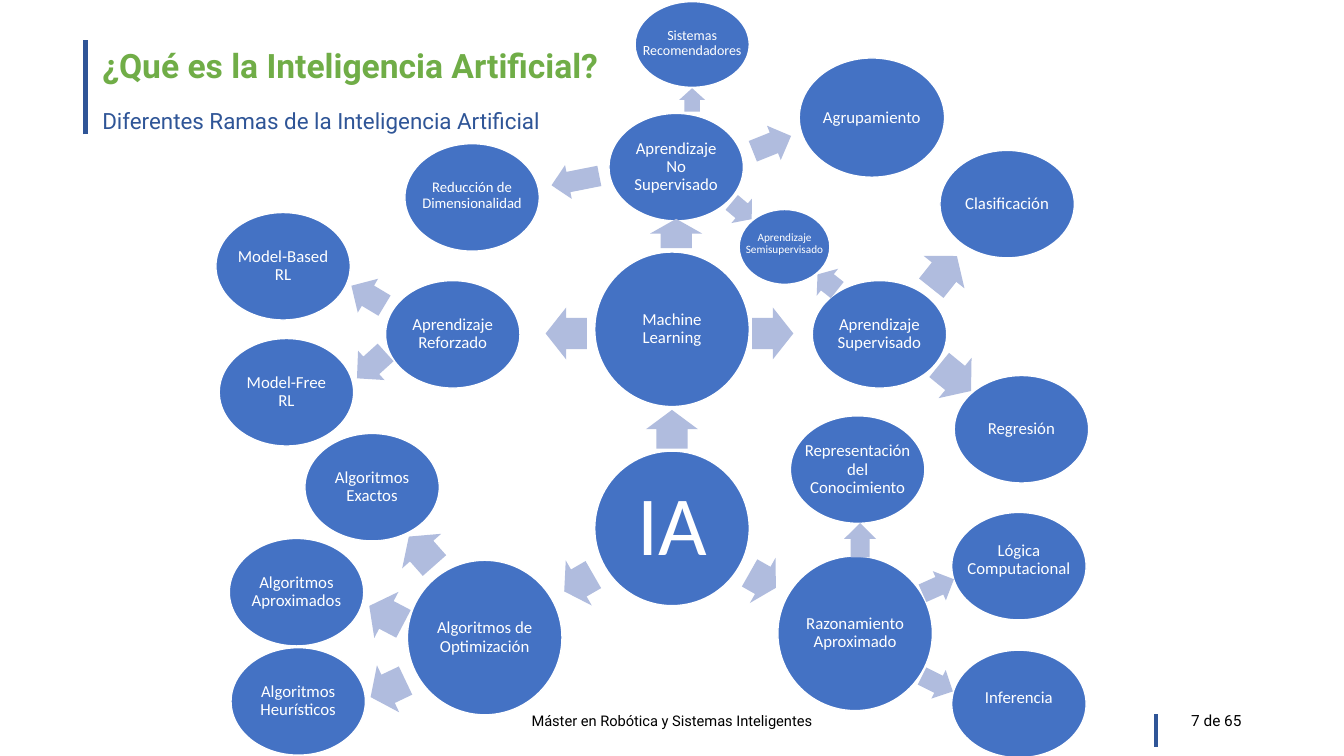
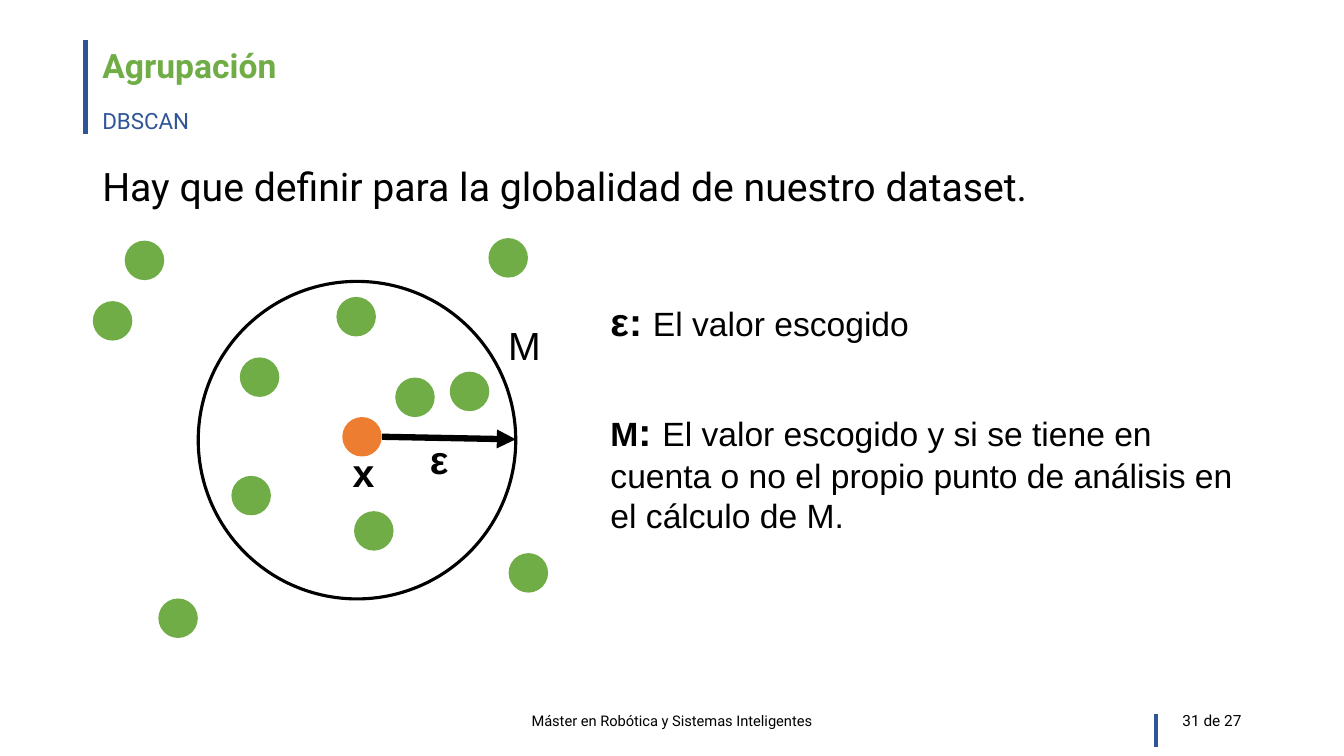
"""Build two slides on the branches of artificial intelligence and on DBSCAN."""
from lxml.etree import SubElement
from pptx import Presentation
from pptx.dml.color import RGBColor
from pptx.enum.shapes import MSO_CONNECTOR, MSO_SHAPE
from pptx.enum.text import MSO_ANCHOR, PP_ALIGN
from pptx.oxml.ns import qn
from pptx.util import Inches, Pt

NAVY = RGBColor(0x2F, 0x55, 0x97)
GREEN = RGBColor(0x70, 0xAD, 0x47)
BLUE = RGBColor(0x44, 0x72, 0xC4)
LAVENDER = RGBColor(0xB0, 0xBC, 0xDE)
ORANGE = RGBColor(0xED, 0x7D, 0x31)
BLACK = RGBColor(0, 0, 0)
WHITE = RGBColor(255, 255, 255)

deck = Presentation()
deck.slide_width, deck.slide_height = Inches(13.333), Inches(7.5)
COL = deck.slide_width / 160
ROW = deck.slide_height / 90

TITLE = dict(name="Roboto", size=Pt(24), bold=True)
SUBTITLE = dict(name="Roboto", size=Pt(16))
FOOTER = dict(name="Roboto", size=Pt(10.5))
PAGE = dict(name="Roboto", size=Pt(11))
STATEMENT = dict(name="Roboto", size=Pt(28))
SYMBOL = dict(name="Arial", size=Pt(28), bold=True)
PLAIN_SYMBOL = dict(name="Arial", size=Pt(28))
TERM = dict(name="Arial", size=Pt(24), bold=True)
MEANING = dict(name="Arial", size=Pt(24), bold=False)


def write(box, runs, color, align=PP_ALIGN.LEFT, anchor=MSO_ANCHOR.TOP, wrap=True, spacing=1.0, inset=None):
    frame = box.text_frame
    frame.word_wrap, frame.vertical_anchor = wrap, anchor
    if inset is not None:
        for side in ("left", "right", "top", "bottom"):
            setattr(frame, f"margin_{side}", inset)
    paragraph = frame.paragraphs[0]
    paragraph.alignment, paragraph.line_spacing = align, spacing
    for text, style in runs:
        run = paragraph.add_run()
        run.text = text
        run.font.color.rgb = color
        for attribute, value in style.items():
            setattr(run.font, attribute, value)


def place(slide, preset, x, y, width, height, fill, outline=None, weight=1.0):
    shape = slide.shapes.add_shape(
        preset, int((x - width / 2) * COL), int((y - height / 2) * ROW), int(width * COL), int(height * ROW))
    shape.shadow.inherit = False
    shape.fill.solid()
    shape.fill.fore_color.rgb = fill
    if outline is None:
        shape.line.fill.background()
    else:
        shape.line.color.rgb = outline
        shape.line.width = Pt(weight)
    return shape


headings = [
    ("¿Qué es la Inteligencia Artificial?", "Diferentes Ramas de la Inteligencia Artificial", "7 de 65"),
    ("Agrupación", "DBSCAN", "31 de 27"),
]
MIDDLE = MSO_ANCHOR.MIDDLE
for title, subtitle, page in headings:
    slide = deck.slides.add_slide(deck.slide_layouts[6])
    texts = [
        (title, TITLE, GREEN, 11, 4.8, 138, 6.6, PP_ALIGN.LEFT, MIDDLE, 0.9),
        (subtitle, SUBTITLE, NAVY, 11, 12.5, 138, 6.4, PP_ALIGN.LEFT, MSO_ANCHOR.TOP, 0.9),
        ("Máster en Robótica y Sistemas Inteligentes", FOOTER, BLACK, 53, 83.4, 54, 4.8, PP_ALIGN.CENTER, MIDDLE, 1.0),
        (page, PAGE, BLACK, 113, 83.4, 36, 4.8, PP_ALIGN.RIGHT, MIDDLE, 1.0),
    ]
    for text, style, color, x, y, width, height, align, anchor, spacing in texts:
        box = slide.shapes.add_textbox(int(x * COL), int(y * ROW), int(width * COL), int(height * ROW))
        write(box, [(text, style)], color, align, anchor, spacing=spacing)

branches, dbscan = deck.slides

BIG, MEDIUM = (18.4, 18.4), (16, 12.8)
topics = [
    ("IA", 80, 62.9, BIG, 60),
    ("Machine Learning", 80, 39.2, BIG, 12),
    ("Razonamiento Aproximado", 101.8, 75.4, BIG, 12),
    ("Algoritmos de Optimización", 57.7, 75.9, BIG, 12),
    ("Aprendizaje Supervisado", 104.7, 39.8, MEDIUM, 12),
    ("Aprendizaje No Supervisado", 80.5, 19.9, MEDIUM, 12),
    ("Aprendizaje Reforzado", 53.9, 39.8, MEDIUM, 12),
    ("Algoritmos Exactos", 44.3, 58, MEDIUM, 12),
    ("Algoritmos Aproximados", 35.3, 70.5, MEDIUM, 12),
    ("Algoritmos Heurísticos", 35.5, 83.5, MEDIUM, 12),
    ("Clasificación", 119.9, 24.3, MEDIUM, 12),
    ("Regresión", 121.6, 51.1, MEDIUM, 12),
    ("Agrupamiento", 103.8, 14, (17.3, 14.2), 12),
    ("Aprendizaje Semisupervisado", 93.4, 29.4, (10.8, 8.9), 8),
    ("Reducción de Dimensionalidad", 56.2, 23.5, MEDIUM, 10.5),
    ("Sistemas Recomendadores", 82.4, 5.3, (13.6, 10.2), 10),
    ("Model-Based RL", 33.7, 31.7, MEDIUM, 12),
    ("Model-Free RL", 34.1, 46.7, MEDIUM, 12),
    ("Representación del Conocimiento", 102.1, 55.9, MEDIUM, 12),
    ("Lógica Computacional", 121.3, 67.4, MEDIUM, 12),
    ("Inferencia", 121.3, 83.8, MEDIUM, 12),
]
wide_labels = {
    "Aprendizaje Semisupervisado": (10.9, 0.4),
    "Reducción de Dimensionalidad": (12.5, 0.2),
    "Sistemas Recomendadores": (13, 0.1),
    "Representación del Conocimiento": (13.6, 0),
    "Lógica Computacional": (14.2, 0.7),
    "Inferencia": (14.2, 0.7),
}
for topic, x, y, (width, height), size in topics:
    label = place(branches, MSO_SHAPE.OVAL, x, y, width, height, BLUE, WHITE)
    if topic in wide_labels:
        span, lift = wide_labels[topic]
        label = branches.shapes.add_textbox(
            int((x - span / 2) * COL), int((y - lift - height / 2) * ROW), int(span * COL), int(height * ROW))
    write(label, [(topic, dict(name="Calibri", size=Pt(size)))], WHITE, PP_ALIGN.CENTER, MIDDLE,
          spacing=0.9, inset=Inches(0.02))

links = [
    (80, 51.1, 4.6, 6.2, 270),
    (90.8, 69.1, 3.6, 6.2, 29.6),
    (68.9, 69.4, 4, 6.2, 150),
    (92, 39.7, 4.9, 6.2, 0),
    (80.5, 27.8, 3.5, 6.2, 270),
    (67.4, 39.7, 4.9, 6.2, 180),
    (50.2, 65.6, 4.6, 6.2, 228.5),
    (46, 73.2, 4.6, 6.2, 207.7),
    (46.2, 82, 4.6, 6.2, 154.6),
    (112.4, 32.4, 4.9, 6.2, 308.5),
    (113.7, 45, 4.9, 6.2, 39.2),
    (91.9, 17.1, 4.9, 4.4, 338.1),
    (88.3, 25.1, 3.1, 3.8, 39.9),
    (98.5, 33.6, 3, 4.1, 218.4),
    (68.5, 21.5, 5.8, 4.1, 168.8),
    (82.4, 11.9, 2.8, 3.1, 270),
    (43.8, 35.2, 4.6, 4.7, 211),
    (44.2, 43.5, 4.6, 4.7, 137.9),
    (102.4, 64.3, 4.1, 3.8, 270),
    (111.7, 69.8, 4.1, 3.8, 335.9),
    (111.6, 81.4, 4.1, 3.8, 26.6),
]
for x, y, length, breadth, angle in links:
    link = place(branches, MSO_SHAPE.RIGHT_ARROW, x, y, length, breadth, LAVENDER)
    link.adjustments[0], link.adjustments[1] = 0.6, 0.5
    link.rotation = angle

place(dbscan, MSO_SHAPE.OVAL, 42.5, 52.4, 37.8, 37.8, WHITE, BLACK, 2.25)
neighbours = [(42.4, 37.7), (49.4, 47.3), (30.9, 44.9), (29.9, 59), (55.9, 46.6), (44.5, 63.2)]
outsiders = [(17.2, 31), (60.5, 30.7), (13.4, 38.2), (21.2, 73.6), (62.9, 68.2)]
for x, y in neighbours + outsiders:
    place(dbscan, MSO_SHAPE.OVAL, x, y, 4.7, 4.7, GREEN)
place(dbscan, MSO_SHAPE.OVAL, 43.1, 52, 4.7, 4.7, ORANGE)

notes = [
    ([("Hay que definir para la globalidad de nuestro dataset.", STATEMENT)], 11, 18.7, 138, 7, True),
    ([("ε", SYMBOL)], 50, 51.2, 4.7, 6.8, False),
    ([("x", SYMBOL)], 40.8, 52.8, 5, 6.8, False),
    ([("M", PLAIN_SYMBOL)], 59.3, 37.7, 6.4, 6.8, False),
    ([("ε: ", SYMBOL), ("El valor escogido", MEANING)], 71.5, 34.8, 77, 6.8, True),
    ([("M", TERM), (": ", SYMBOL),
      ("El valor escogido y si se tiene en cuenta o no el propio punto de análisis en el cálculo de M.", MEANING)],
     71.5, 47.9, 77, 22.2, True),
]
for runs, x, y, width, height, wrap in notes:
    box = dbscan.shapes.add_textbox(int(x * COL), int(y * ROW), int(width * COL), int(height * ROW))
    write(box, runs, BLACK, wrap=wrap)

title_bar = (10.2, 16, 10.2, 4.8, NAVY, 3.25, False)
page_bar = (137.6, 88.9, 137.6, 85, NAVY, 3.25, False)
radius = (45.5, 52, 61.4, 52.3, BLACK, 4.5, True)
for slide, strokes in ((branches, [title_bar, page_bar]), (dbscan, [title_bar, page_bar, radius])):
    for x1, y1, x2, y2, color, weight, pointed in strokes:
        stroke = slide.shapes.add_connector(
            MSO_CONNECTOR.STRAIGHT, int(x1 * COL), int(y1 * ROW), int(x2 * COL), int(y2 * ROW))
        stroke.line.color.rgb = color
        stroke.line.width = Pt(weight)
        if pointed:
            SubElement(stroke.line._get_or_add_ln(), qn("a:tailEnd"), type="triangle")
        SubElement(stroke._element.spPr, qn("a:effectLst"))

deck.save("out.pptx")
